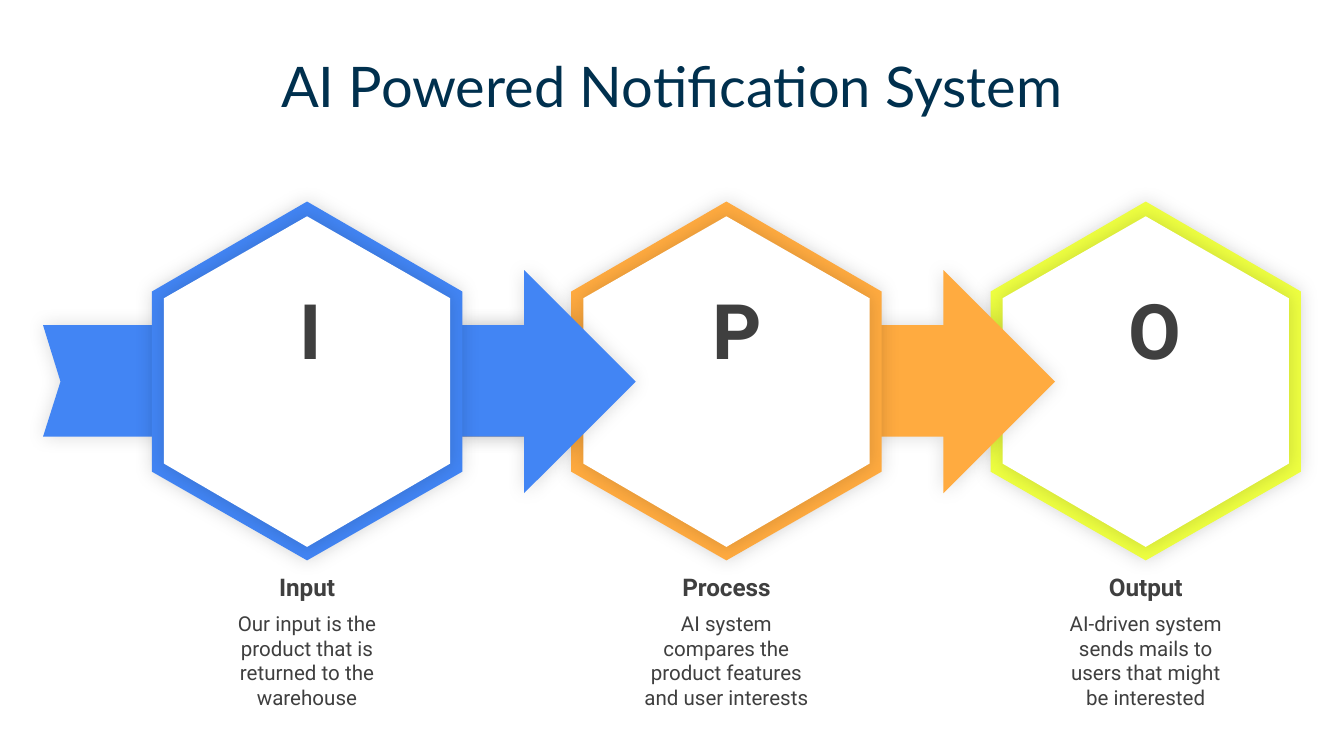
from dataclasses import dataclass

from lxml.etree import SubElement
from pptx import Presentation
from pptx.dml.color import RGBColor
from pptx.enum.text import MSO_ANCHOR as Anchor, MSO_AUTO_SIZE as AutoSize, PP_ALIGN as Align
from pptx.oxml.ns import qn
from pptx.util import Inches, Pt

WHITE, GREY, NAVY = "FFFFFF", "3F3F3F", "00304E"
BLUE, ORANGE, LIME = "4285F4", "FFAB40", "EEFF41"

SLIDE_WIDTH = 10
SLIDE_HEIGHT = SLIDE_WIDTH * 9 / 16
FIRST_LEFT, STEP_PITCH = 1.13, 3.12
HEX_WIDTH = 2.31
ARROW_OFFSET = -0.81

Points = list[tuple[float, float]]


@dataclass
class Step:
    letter: str
    letter_width: float
    heading: str
    detail: str
    text_width: float
    color: str
    has_arrow: bool = True


STEPS = [
    Step("I", 0.25, "Input",
         "Our input is the product that is returned to the warehouse", 1.64, BLUE),
    Step("P", 0.35, "Process",
         "AI system compares the product features and user interests", 1.38, ORANGE),
    Step("O", 0.39, "Output",
         "AI-driven system sends mails to users that might be interested", 1.35, LIME,
         has_arrow=False),
]


def rgb(color: str) -> RGBColor:
    return RGBColor.from_string(color)


def add_soft_shadow(shape) -> None:
    shape.shadow.inherit = False
    effects = shape._element.spPr.find(qn("a:effectLst"))
    shadow = SubElement(effects, qn("a:outerShdw"), blurRad=str(Pt(10)), dist="0",
                        dir="0", algn="ctr", rotWithShape="0")
    black = SubElement(shadow, qn("a:srgbClr"), val="000000")
    SubElement(black, qn("a:alpha"), val="15000")


def add_outline(slide, points: Points, color: str) -> None:
    corners = [(Inches(x), Inches(y)) for x, y in points]
    builder = slide.shapes.build_freeform(*corners[0], scale=1.0)
    builder.add_line_segments(corners[1:], close=True)
    shape = builder.convert_to_shape()
    shape.fill.solid()
    shape.fill.fore_color.rgb = rgb(color)
    shape.line.fill.background()
    add_soft_shadow(shape)


def hexagon(left: float, right: float, top: float, upper: float,
            lower: float, bottom: float) -> Points:
    middle = (left + right) / 2
    return [(middle, top), (right, upper), (right, lower),
            (middle, bottom), (left, lower), (left, upper)]


def notched_arrow(left: float) -> Points:
    neck, tip = left + 3.58, left + 4.41
    return [(left, 3.25), (neck, 3.25), (neck, 3.67), (tip, 2.84),
            (neck, 2.01), (neck, 2.42), (left, 2.42), (left + 0.13, 2.84)]


def set_frame(frame, anchor: Anchor) -> None:
    frame.word_wrap = True
    frame.auto_size = AutoSize.SHAPE_TO_FIT_TEXT
    frame.vertical_anchor = anchor
    frame.margin_left = frame.margin_right = Inches(0.07)
    frame.margin_top = frame.margin_bottom = Inches(0.04)


def write(paragraph, text: str, size: float, color: str = GREY,
          font: str = "Roboto", bold: bool = False) -> None:
    paragraph.text = text
    paragraph.alignment = Align.CENTER
    paragraph.font.size = Pt(size)
    paragraph.font.name = font
    paragraph.font.bold = bold
    paragraph.font.color.rgb = rgb(color)


def add_centered_box(slide, center: float, top: float, width: float, height: float,
                     anchor: Anchor):
    box = slide.shapes.add_textbox(Inches(center - width / 2), Inches(top),
                                   Inches(width), Inches(height))
    set_frame(box.text_frame, anchor)
    return box.text_frame


def draw_step(slide, step: Step, left: float) -> None:
    right = left + HEX_WIDTH
    if step.has_arrow:
        add_outline(slide, notched_arrow(left + ARROW_OFFSET), step.color)
    add_outline(slide, hexagon(left, right, 1.5, 2.17, 3.51, 4.17), step.color)
    add_outline(slide, hexagon(left + 0.09, right - 0.09, 1.61, 2.22, 3.45, 4.07), WHITE)


def label_step(slide, step: Step, left: float) -> None:
    center = left + HEX_WIDTH / 2
    letter = add_centered_box(slide, center, 2.06, step.letter_width, 0.77, Anchor.MIDDLE)
    write(letter.paragraphs[0], step.letter, 41, bold=True)

    caption = add_centered_box(slide, center, 4.22, step.text_width, 1.11, Anchor.TOP)
    write(caption.paragraphs[0], step.heading, 13, bold=True)
    detail = caption.add_paragraph()
    write(detail, step.detail, 11)
    detail.space_before = Pt(5)


def main() -> None:
    prs = Presentation()
    prs.slide_width, prs.slide_height = Inches(SLIDE_WIDTH), Inches(SLIDE_HEIGHT)
    slide = prs.slides.add_slide(prs.slide_layouts[5])

    # Title
    title = slide.shapes.title
    title.left, title.top = Inches(0), Inches(0.34)
    title.width, title.height = Inches(SLIDE_WIDTH), Inches(0.58)
    set_frame(title.text_frame, Anchor.TOP)
    write(title.text_frame.paragraphs[0], "AI Powered Notification System", 30, NAVY, "Lato")

    # Hexagons and arrows, last step at the back so each arrow overlaps the next step
    placed = [(step, FIRST_LEFT + i * STEP_PITCH) for i, step in enumerate(STEPS)]
    for step, left in reversed(placed):
        draw_step(slide, step, left)

    # Letters and captions
    for step, left in placed:
        label_step(slide, step, left)

    prs.save("out.pptx")


if __name__ == "__main__":
    main()
